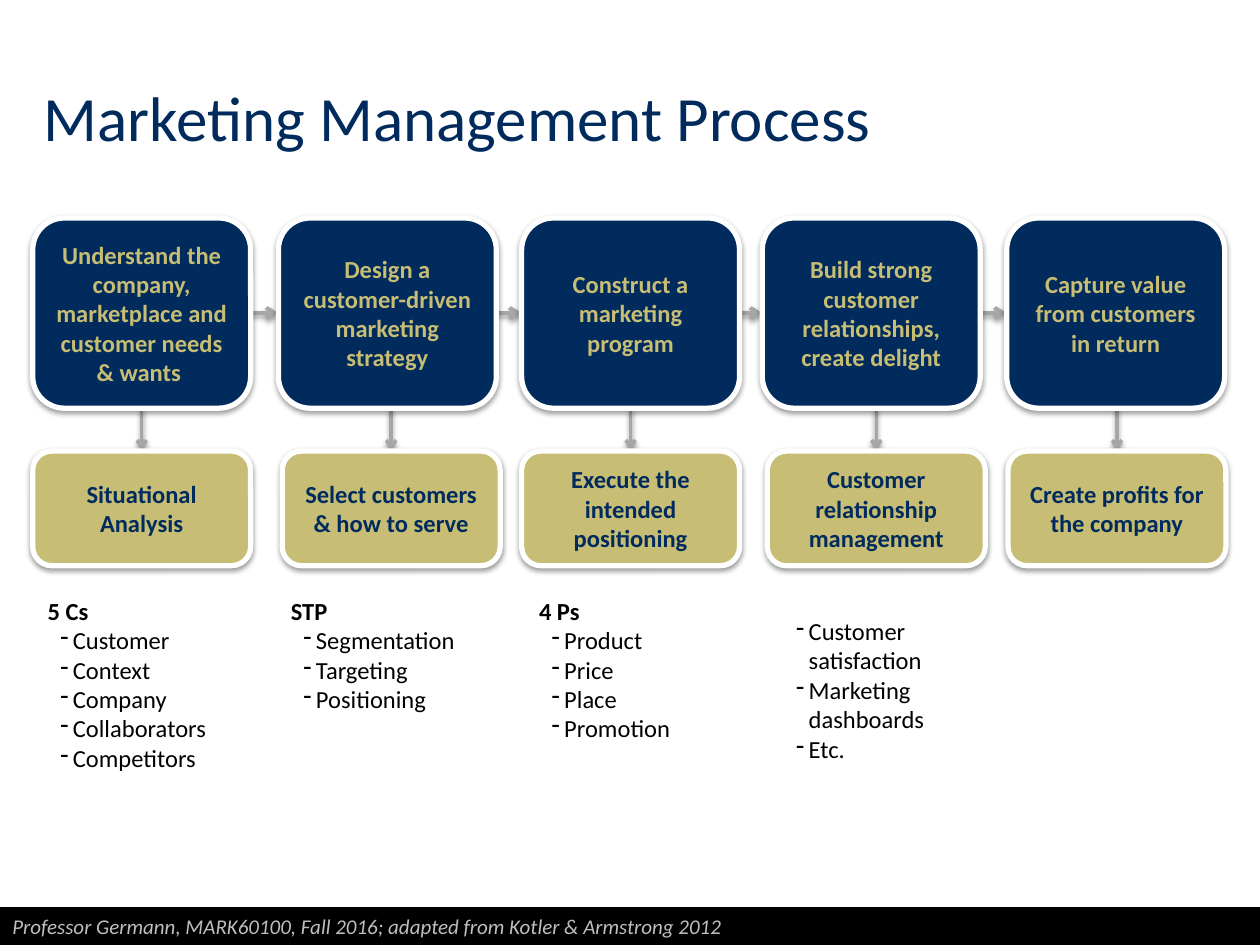
from lxml import etree
from pptx import Presentation
from pptx.dml.color import RGBColor
from pptx.enum import shapes, text
from pptx.oxml import parse_xml
from pptx.oxml.ns import nsdecls, qn
from pptx.util import Inches, Pt

NAVY, GOLD, GREY, WHITE, BLACK = "002B5C", "C7BD74", "A6A6A6", "FFFFFF", "000000"
BOX_W, STEP_H, RESULT_H = 1.73, 1.51, 0.91
STEP_Y, RESULT_Y = 1.73, 3.58

# step left, step, result left, result, list box (left, top, width, height), heading, items
COLUMNS = [
    (0.26, "Understand the company, marketplace and customer needs & wants ",
     0.26, "Situational Analysis", (0.28, 4.68, 1.69, 1.53), "5 Cs",
     ["Customer", "Context", "Company", "Collaborators", "Competitors"]),
    (2.21, "Design a customer-driven marketing strategy",
     2.24, "Select customers & how to serve", (2.21, 4.68, 1.83, 1.51), "STP",
     ["Segmentation", "Targeting", "Positioning"]),
    (4.14, "Construct a marketing program",
     4.14, "Execute the intended positioning", (4.18, 4.68, 1.83, 1.77), "4 Ps",
     ["Product", "Price", "Place", "Promotion"]),
    (6.05, "Build strong customer relationships, create delight",
     6.09, "Customer relationship management", (6.12, 4.84, 1.83, 1.29), None,
     ["Customer satisfaction", "Marketing dashboards", "Etc."]),
    (7.99, "Capture value from customers in return",
     8, "Create profits for the company", None, None, []),
]


def color(value):
    return RGBColor.from_string(value)


def inches(box):
    return [Inches(v) for v in box]


def add_run(p, words, size, value, bold=False, italic=False):
    r = p.add_run()
    r.text = words
    r.font.name, r.font.size = "Calibri", Pt(size)
    r.font.bold, r.font.italic = bold, italic
    r.font.color.rgb = color(value)


def add_shadow(sp):
    effects = sp._element.spPr.find(qn("a:effectLst"))
    if effects is not None:
        sp._element.spPr.remove(effects)
    sp._element.spPr.append(parse_xml(
        f'<a:effectLst {nsdecls("a")}><a:outerShdw blurRad="{Pt(3.1)}" dist="{Pt(1.6)}" '
        'dir="5400000" rotWithShape="0"><a:srgbClr val="000000"><a:alpha val="38000"/>'
        '</a:srgbClr></a:outerShdw></a:effectLst>'))


def add_arrow(s, x1, y1, x2, y2, width):
    line = s.shapes.add_connector(shapes.MSO_CONNECTOR.STRAIGHT, *inches((x1, y1, x2, y2)))
    line.line.color.rgb = color(GREY)
    line.line.width = Pt(width)
    etree.SubElement(line.line._get_or_add_ln(), qn("a:tailEnd"), type="arrow")
    add_shadow(line)


def add_box(s, box, words, fill, ink):
    sp = s.shapes.add_shape(shapes.MSO_SHAPE.ROUNDED_RECTANGLE, *inches(box))
    sp.fill.solid()
    sp.fill.fore_color.rgb = color(fill)
    sp.line.color.rgb = color(WHITE)
    sp.line.width = Pt(3)
    add_shadow(sp)
    tf = sp.text_frame
    tf.word_wrap = True
    tf.vertical_anchor = text.MSO_ANCHOR.MIDDLE
    p = tf.paragraphs[0]
    p.alignment = text.PP_ALIGN.CENTER
    add_run(p, words, 14, ink, bold=True)


def add_title(s, box):
    tf = s.shapes.add_textbox(*inches(box)).text_frame
    tf.word_wrap = True
    tf.vertical_anchor = text.MSO_ANCHOR.MIDDLE
    add_run(tf.paragraphs[0], "Marketing Management Process", 36, NAVY)


def add_list(s, box, heading, items):
    tf = s.shapes.add_textbox(*inches(box)).text_frame
    tf.word_wrap = True
    p = tf.paragraphs[0]
    if heading:
        add_run(p, heading, 14, BLACK, bold=True)
    for i, item in enumerate(items):
        if i or heading:
            p = tf.add_paragraph()
        pPr = p._p.get_or_add_pPr()
        pPr.set("marL", str(Inches(0.2)))
        pPr.set("indent", str(Inches(-0.1)))
        etree.SubElement(pPr, qn("a:buChar"), char="-")
        add_run(p, item, 14, BLACK)


def add_process(s):
    # Arrows between neighbouring steps
    for this, following in zip(COLUMNS, COLUMNS[1:]):
        y = STEP_Y + STEP_H / 2
        add_arrow(s, this[0] + BOX_W, y, following[0], y, 2.25)
    # Step, arrow down, result and list of each column
    for step_x, step, result_x, result, list_box, heading, items in COLUMNS:
        middle = result_x + BOX_W / 2
        add_arrow(s, middle, STEP_Y + STEP_H, middle, RESULT_Y, 2)
        add_box(s, (step_x, STEP_Y, BOX_W, STEP_H), step, NAVY, GOLD)
        add_box(s, (result_x, RESULT_Y, BOX_W, RESULT_H), result, GOLD, NAVY)
        if items:
            add_list(s, list_box, heading, items)


def add_footer(s, box):
    sp = s.shapes.add_shape(shapes.MSO_SHAPE.RECTANGLE, *inches(box))
    sp.shadow.inherit = False
    sp.fill.solid()
    sp.fill.fore_color.rgb = color(BLACK)
    sp.line.fill.background()
    tf = sp.text_frame
    tf.word_wrap = True
    tf.vertical_anchor = text.MSO_ANCHOR.TOP
    p = tf.paragraphs[0]
    p.alignment = text.PP_ALIGN.LEFT
    add_run(p, "Professor Germann, MARK60100, Fall 2016; adapted from Kotler & Armstrong 2012",
            12, "BFBFBF", italic=True)


def main():
    prs = Presentation()
    prs.slide_width, prs.slide_height = Inches(10), Inches(7.5)
    s = prs.slides.add_slide(prs.slide_layouts[6])
    add_title(s, (0.25, 0.3, 8, 1.25))
    add_process(s)
    add_footer(s, (0, 7.2, 10, 0.3))
    prs.save("out.pptx")


if __name__ == "__main__":
    main()
